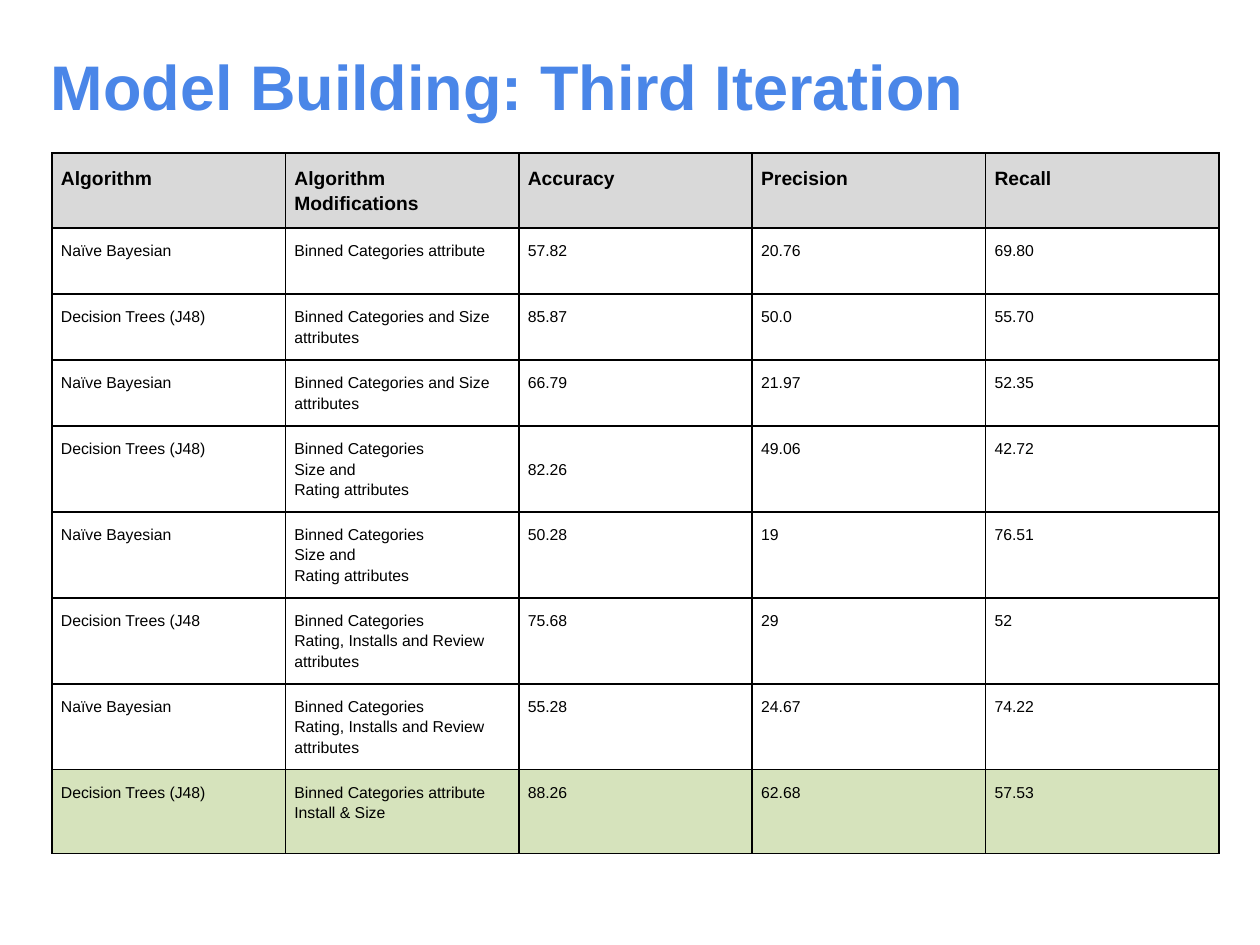
from dataclasses import dataclass

from lxml import etree
from pptx import Presentation
from pptx import util as u
from pptx.dml.color import RGBColor
from pptx.enum import text
from pptx.oxml.ns import qn

TITLE = "Model Building: Third Iteration"
HEADINGS = ("Algorithm", "Algorithm Modifications", "Accuracy", "Precision", "Recall")

BAYES, TREES = "Naïve Bayesian", "Decision Trees (J48)"
SIZE = "Binned Categories and Size attributes"
SIZE_RATING = "Binned Categories\nSize and\nRating attributes"
RATING_INSTALLS = "Binned Categories\nRating, Installs and Review attributes"
RESULTS = [
    (BAYES, "Binned Categories attribute", "57.82", "20.76", "69.80"),
    (TREES, SIZE, "85.87", "50.0", "55.70"),
    (BAYES, SIZE, "66.79", "21.97", "52.35"),
    (TREES, SIZE_RATING, "82.26", "49.06", "42.72"),
    (BAYES, SIZE_RATING, "50.28", "19", "76.51"),
    ("Decision Trees (J48", RATING_INSTALLS, "75.68", "29", "52"),
    (BAYES, RATING_INSTALLS, "55.28", "24.67", "74.22"),
    (TREES, "Binned Categories attribute\nInstall & Size", "88.26", "62.68", "57.53"),
]
MIDDLE_CELLS = {(4, 2)}
ROW_HEIGHTS = [75] + [66] * 3 + [86] * 4 + [84]
TABLE_LEFT, TABLE_TOP, TABLE_WIDTH = 52, 153, 1167


@dataclass(frozen=True)
class Theme:
    font: str = "Arial"
    title: str = "4A86E8"
    ink: str = "000000"
    heading_fill: str = "D9D9D9"
    best_fill: str = "D6E3BC"
    title_size: int = 36
    heading_size: int = 11
    body_size: int = 9
    line_spacing: float = 1.15


THEME = Theme()


def px(length):
    return u.Emu(round(length * 914400 / 126))


def set_insets(holder, side, end):
    holder.margin_left = holder.margin_right = px(side)
    holder.margin_top = holder.margin_bottom = px(end)


def add_span(para, words, size, color, bold):
    span = para.add_run()
    span.text = words
    span.font.name = THEME.font
    span.font.size = u.Pt(size)
    span.font.bold = bold
    span.font.color.rgb = RGBColor.from_string(color)


def add_borders(cell):
    properties = cell._tc.get_or_add_tcPr()
    for side in ("lnL", "lnR", "lnT", "lnB"):
        line = etree.SubElement(properties, qn(f"a:{side}"), w=str(u.Pt(1)))
        fill = etree.SubElement(line, qn("a:solidFill"))
        etree.SubElement(fill, qn("a:srgbClr"), val=THEME.ink)


def fill_cell(cell, words, size, bold, fill):
    set_insets(cell, 9, 12)
    add_borders(cell)
    if fill:
        cell.fill.solid()
        cell.fill.fore_color.rgb = RGBColor.from_string(fill)
    else:
        cell.fill.background()
    for index, line in enumerate(words.split("\n")):
        frame = cell.text_frame
        para = frame.add_paragraph() if index else frame.paragraphs[0]
        para.line_spacing = THEME.line_spacing
        add_span(para, line, size, THEME.ink, bold)


def add_title(page):
    box = page.shapes.add_textbox(px(38), px(35), px(1109), px(88))
    frame = box.text_frame
    frame.word_wrap = True
    set_insets(frame, 13, 13)
    add_span(frame.paragraphs[0], TITLE, THEME.title_size, THEME.title, True)


def add_results(page):
    rows = [HEADINGS] + RESULTS
    table = page.shapes.add_table(
        len(rows), len(HEADINGS), px(TABLE_LEFT), px(TABLE_TOP),
        px(TABLE_WIDTH), px(sum(ROW_HEIGHTS))).table
    table.horz_banding = False
    for column in table.columns:
        column.width = px(TABLE_WIDTH / len(HEADINGS))
    fills = {0: THEME.heading_fill, len(RESULTS): THEME.best_fill}
    for r, values in enumerate(rows):
        table.rows[r].height = px(ROW_HEIGHTS[r])
        heading = r == 0
        size = THEME.heading_size if heading else THEME.body_size
        for c, words in enumerate(values):
            cell = table.cell(r, c)
            fill_cell(cell, words, size, heading, fills.get(r))
            middle = (r, c) in MIDDLE_CELLS
            cell.vertical_anchor = text.MSO_ANCHOR.MIDDLE if middle else text.MSO_ANCHOR.TOP


def main():
    deck = Presentation()
    deck.slide_width, deck.slide_height = px(1260), px(945)
    page = deck.slides.add_slide(deck.slide_layouts[6])
    add_results(page)
    add_title(page)
    deck.save("out.pptx")


if __name__ == "__main__":
    main()
